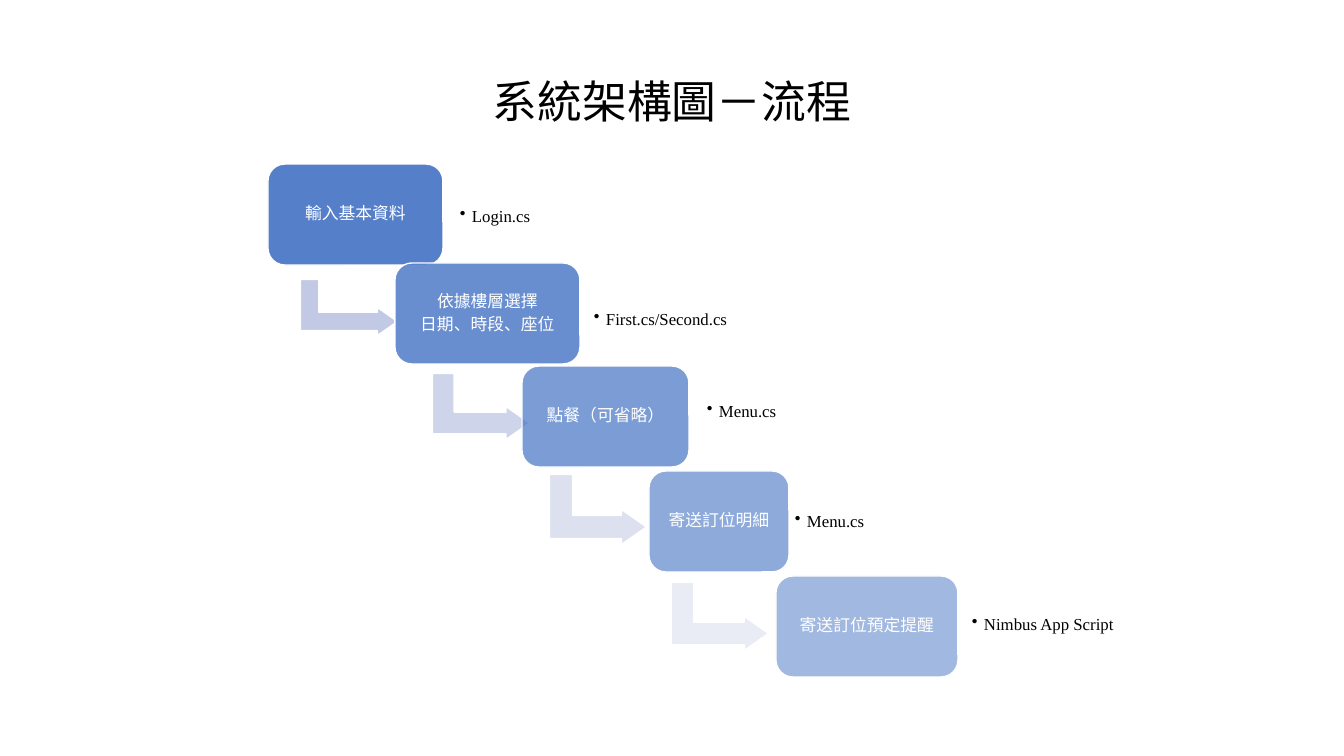
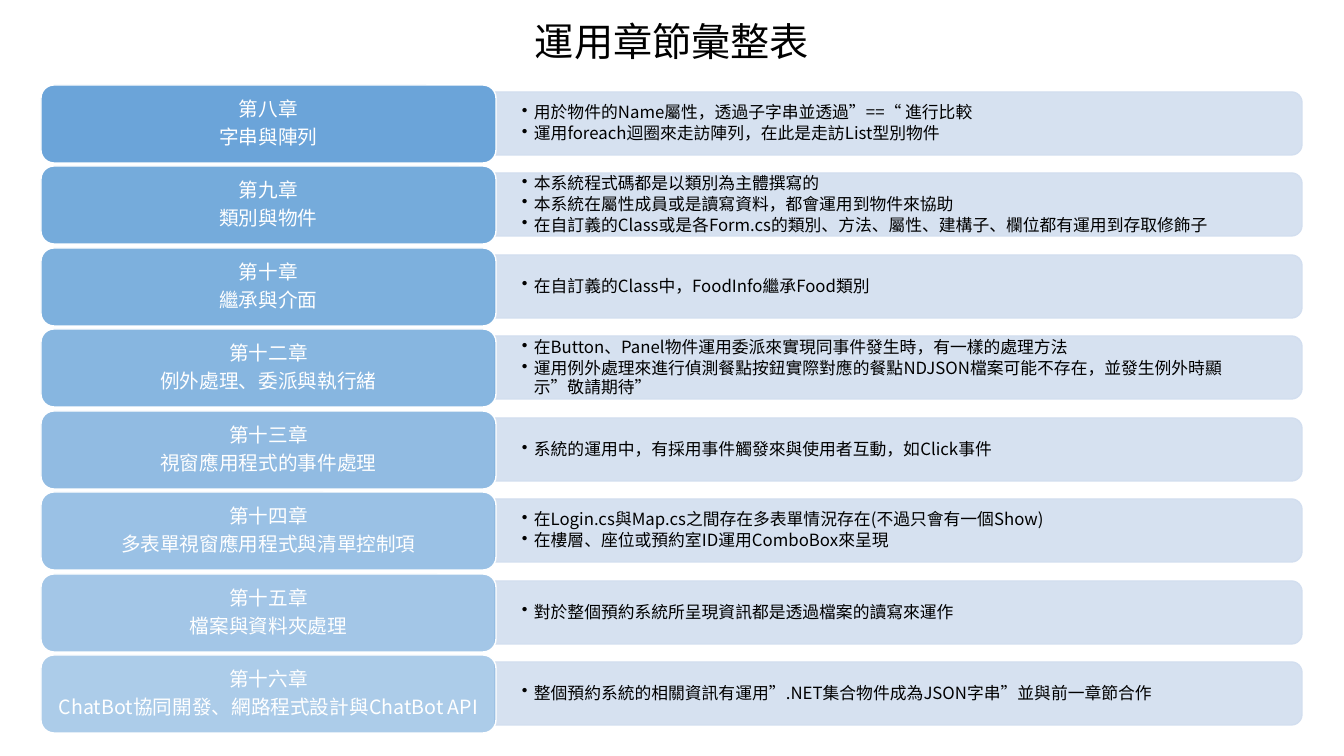
import pptx
import pptx.dml.color
import pptx.enum.shapes
import pptx.enum.text
import pptx.oxml.ns
import pptx.util
from lxml import etree

EMU_PER_PX = 914400 / 100.8
BLACK = pptx.dml.color.RGBColor(0x00, 0x00, 0x00)
WHITE = pptx.dml.color.RGBColor(0xFF, 0xFF, 0xFF)
STEP_BLUE = pptx.dml.color.RGBColor(0x44, 0x72, 0xC4)
CHAPTER_BLUE = pptx.dml.color.RGBColor(0x5B, 0x9B, 0xD5)
PANEL_BLUE = pptx.dml.color.RGBColor(0xD2, 0xDE, 0xEF)
SANS = "Noto Sans CJK SC"
SERIF = "Times New Roman"
SHAPES = pptx.enum.shapes.MSO_SHAPE
ANCHOR = pptx.enum.text.MSO_ANCHOR
qn = pptx.oxml.ns.qn


def add_block(slide, kind, box, fill=None, opacity=100, line=WHITE):
    left, top, width, height = [round(length * EMU_PER_PX) for length in box]
    if kind is None:
        return slide.shapes.add_textbox(left, top, width, height)
    shape = slide.shapes.add_shape(kind, left, top, width, height)
    shape.shadow.inherit = False
    shape.fill.solid()
    shape.fill.fore_color.rgb = fill
    if opacity < 100:
        color = shape._element.spPr.find(qn("a:solidFill")).find(qn("a:srgbClr"))
        etree.SubElement(color, qn("a:alpha"), val=str(opacity * 1000))
    shape.line.color.rgb = line
    shape.line.width = pptx.util.Pt(1)
    return shape


def write(shape, lines, size, color, insets, space_after=0, font=SANS,
          bullets=False, anchor=ANCHOR.MIDDLE, spacing=0.9):
    frame = shape.text_frame
    frame.word_wrap = True
    frame.vertical_anchor = anchor
    side, end = [round(inset * EMU_PER_PX) for inset in insets]
    frame.margin_left = frame.margin_right = side
    frame.margin_top = frame.margin_bottom = end
    for index, text in enumerate(lines):
        paragraph = frame.paragraphs[0] if index == 0 else frame.add_paragraph()
        paragraph.text = text
        paragraph.line_spacing = spacing
        paragraph.space_after = pptx.util.Pt(space_after)
        if bullets:
            paragraph.alignment = pptx.enum.text.PP_ALIGN.LEFT
            properties = paragraph._p.get_or_add_pPr()
            indent = round(12 * EMU_PER_PX)
            properties.set("marL", str(indent))
            properties.set("indent", str(-indent))
            etree.SubElement(properties, qn("a:buChar"), char="•")
        else:
            paragraph.alignment = pptx.enum.text.PP_ALIGN.CENTER
        paragraph.font.size = pptx.util.Pt(size)
        paragraph.font.color.rgb = color
        paragraph.font.name = font
        defaults = paragraph._p.pPr.find(qn("a:defRPr"))
        etree.SubElement(defaults, qn("a:ea"), typeface=SANS)


presentation = pptx.Presentation()
presentation.slide_width = round(1344 * EMU_PER_PX)
presentation.slide_height = round(756 * EMU_PER_PX)

titles = [
    ("系統架構圖－流程", (357, 69, 630, 65), 32, ANCHOR.TOP, 1.0),
    ("運用章節彙整表", (484, 14, 376, 60), 28, ANCHOR.MIDDLE, 0.9),
]
slides = []
for text, box, size, anchor, spacing in titles:
    slide = presentation.slides.add_slide(presentation.slide_layouts[6])
    title = add_block(slide, None, box)
    write(title, [text], size, BLACK, (10, 5), anchor=anchor, spacing=spacing)
    slides.append(slide)
flow_slide, chapter_slide = slides

steps = [
    (["輸入基本資料"], SANS, 164, 175, "Login.cs", (455, 176, 105, 82)),
    (["依據樓層選擇", "日期、時段、座位"], SANS, 263, 185,
     "First.cs/Second.cs", (589, 279, 180, 82)),
    (["點餐（可省略）"], SERIF, 366, 167, "Menu.cs", (702, 371, 105, 82)),
    (["寄送訂位明細"], SERIF, 471, 140, "Menu.cs", (790, 481, 105, 82)),
    (["寄送訂位預定提醒"], SERIF, 576, 182, "Nimbus App Script", (967, 584, 173, 82)),
]
arrows = [
    ((321, 259, 56, 97), pptx.dml.color.RGBColor(0xC1, 0xC9, 0xE4)),
    ((448, 358, 66, 97), pptx.dml.color.RGBColor(0xCE, 0xD4, 0xE9)),
    ((563, 461, 70, 97), pptx.dml.color.RGBColor(0xDC, 0xE0, 0xEF)),
    ((686, 568, 68, 97), pptx.dml.color.RGBColor(0xE9, 0xEB, 0xF5)),
]
for index, (lines, font, top, width, file_name, label_box) in enumerate(steps):
    if index < len(arrows):
        arrow_box, arrow_color = arrows[index]
        arrow = add_block(flow_slide, SHAPES.BENT_UP_ARROW, arrow_box, arrow_color)
        arrow.rotation = 90
        for position, value in enumerate((0.328, 0.25, 0.358)):
            arrow.adjustments[position] = value
    step = add_block(flow_slide, SHAPES.ROUNDED_RECTANGLE,
                     (268 + 127 * index, top, width, 101), STEP_BLUE, 90 - 10 * index)
    write(step, lines, 12, WHITE, (5, 5), 4, font)
    label = add_block(flow_slide, None, label_box)
    write(label, [file_name], 12, BLACK, (5, 5), 2, SERIF, bullets=True)

chapters = [
    (["第八章", "字串與陣列"],
     ["用於物件的Name屬性，透過子字串並透過”==“ 進行比較",
      "運用foreach迴圈來走訪陣列，在此是走訪List型別物件"]),
    (["第九章", "類別與物件"],
     ["本系統程式碼都是以類別為主體撰寫的",
      "本系統在屬性成員或是讀寫資料，都會運用到物件來協助",
      "在自訂義的Class或是各Form.cs的類別、方法、屬性、建構子、欄位都有運用到存取修飾子"]),
    (["第十章", "繼承與介面"],
     ["在自訂義的Class中，FoodInfo繼承Food類別"]),
    (["第十二章", "例外處理、委派與執行緒"],
     ["在Button、Panel物件運用委派來實現同事件發生時，有一樣的處理方法",
      "運用例外處理來進行偵測餐點按鈕實際對應的餐點NDJSON檔案可能不存在，並發生例外時顯示”敬請期待”"]),
    (["第十三章", "視窗應用程式的事件處理"],
     ["系統的運用中，有採用事件觸發來與使用者互動，如Click事件"]),
    (["第十四章", "多表單視窗應用程式與清單控制項"],
     ["在Login.cs與Map.cs之間存在多表單情況存在(不過只會有一個Show)",
      "在樓層、座位或預約室ID運用ComboBox來呈現"]),
    (["第十五章", "檔案與資料夾處理"],
     ["對於整個預約系統所呈現資訊都是透過檔案的讀寫來運作"]),
    (["第十六章", "ChatBot協同開發、網路程式設計與ChatBot API"],
     ["整個預約系統的相關資訊有運用”.NET集合物件成為JSON字串”並與前一章節合作"]),
]
panel_width, panel_height = 807, 63
turn_offset = (panel_width - panel_height) // 2
for index, (heading, notes) in enumerate(chapters):
    row_top = 85 + index * 163 // 2
    panel = add_block(chapter_slide, SHAPES.ROUND_2_SAME_RECTANGLE,
                      (495 + turn_offset, row_top + 7 - turn_offset, panel_height, panel_width),
                      PANEL_BLUE, 90, PANEL_BLUE)
    panel.rotation = 90
    note_box = add_block(chapter_slide, None, (495, row_top + 11, 804, 56))
    write(note_box, notes, 12, BLACK, (27, 14), 2, bullets=True)
    chapter = add_block(chapter_slide, SHAPES.ROUNDED_RECTANGLE, (41, row_top, 455, 78),
                        CHAPTER_BLUE, round(90 - 40 * index / (len(chapters) - 1)))
    write(chapter, heading, 14, WHITE, (6, 3), 5)

presentation.save("out.pptx")
